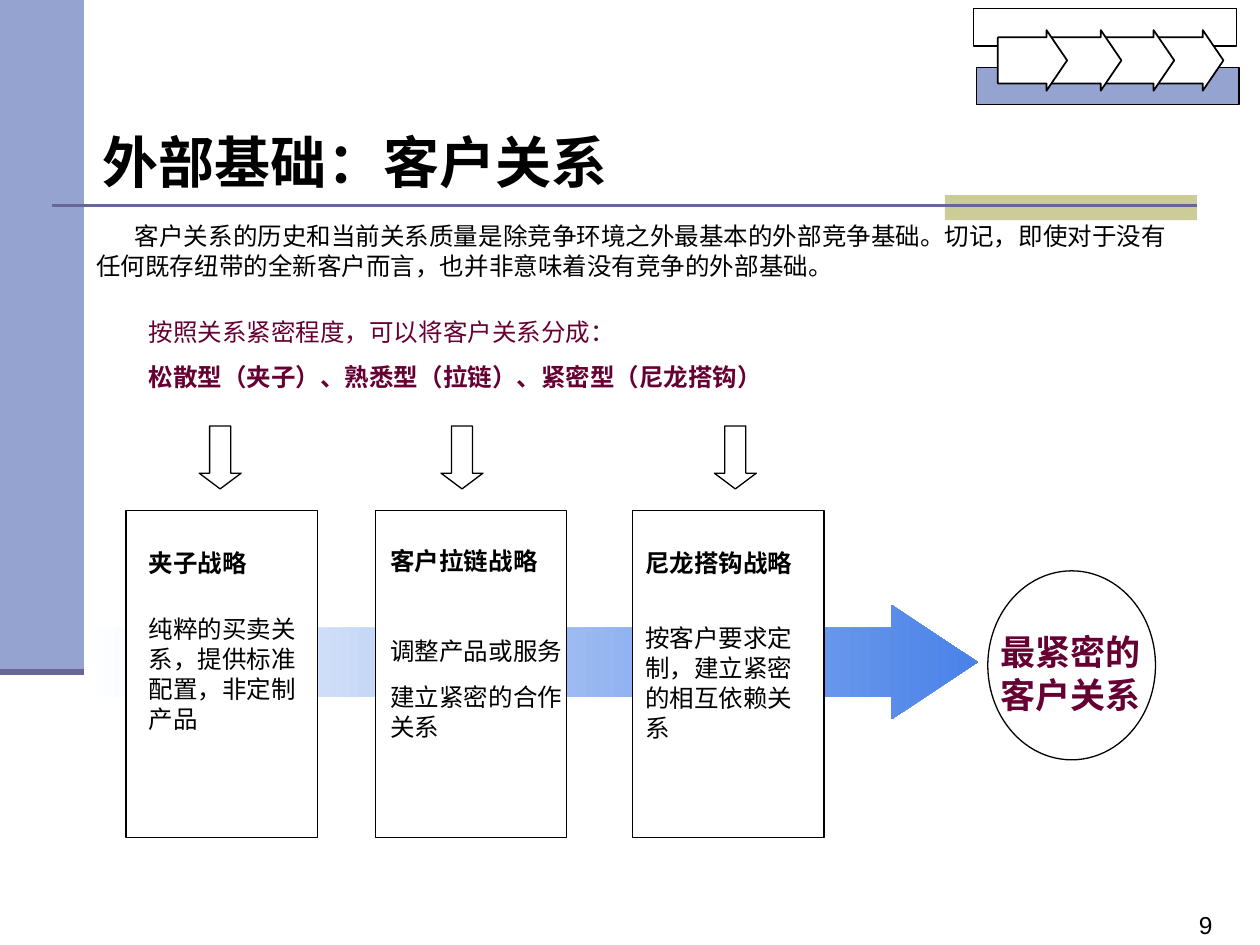
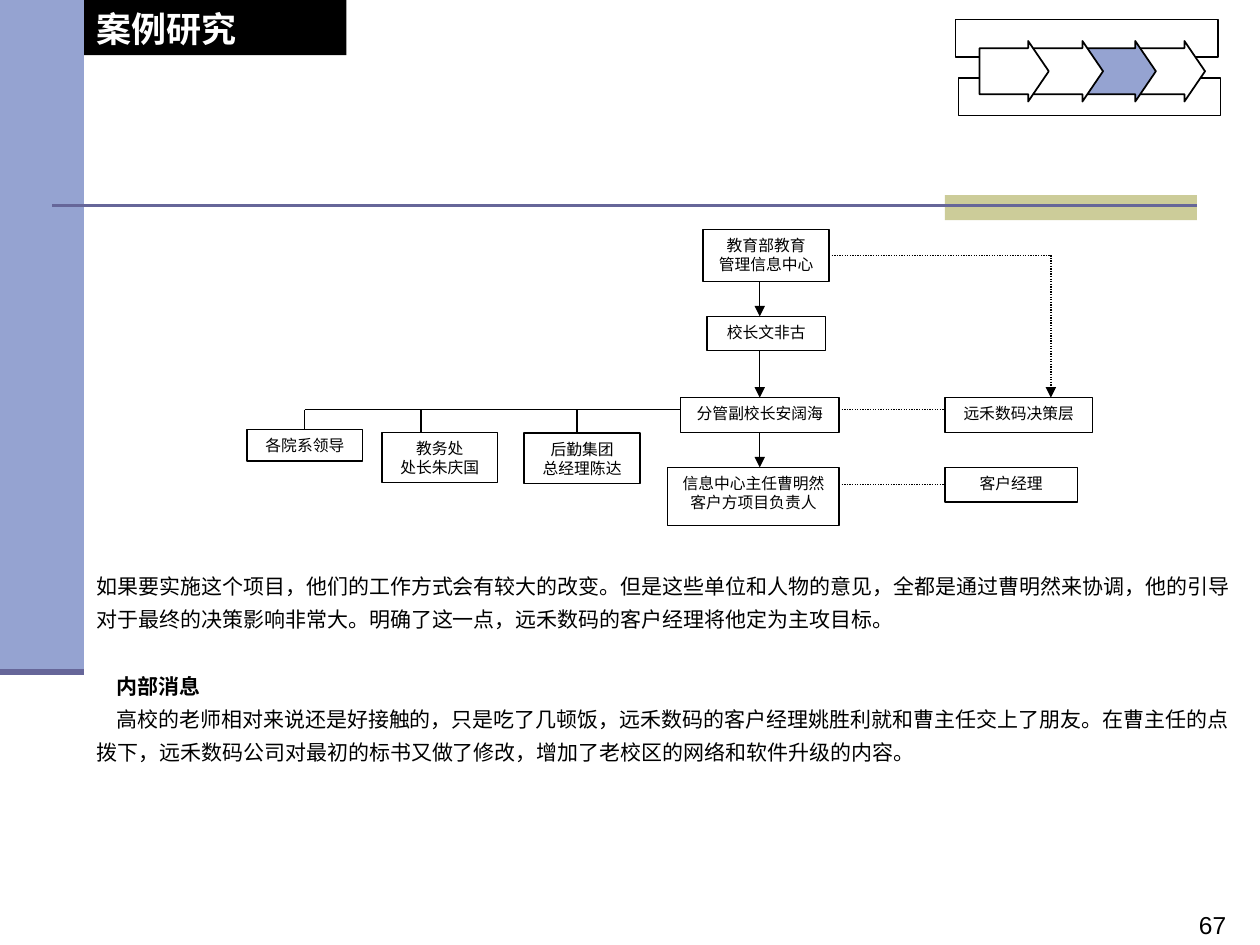
from lxml import etree
from pptx import Presentation
from pptx.dml.color import RGBColor
from pptx.enum.dml import MSO_LINE
from pptx.enum.shapes import MSO_CONNECTOR, MSO_SHAPE
from pptx.enum.text import MSO_ANCHOR, MSO_AUTO_SIZE, PP_ALIGN
from pptx.oxml.ns import qn
from pptx.util import Pt

RECT, OVAL = MSO_SHAPE.RECTANGLE, MSO_SHAPE.OVAL
RIGHT_ARROW, DOWN_ARROW = MSO_SHAPE.RIGHT_ARROW, MSO_SHAPE.DOWN_ARROW
STRAIGHT, DOTTED = MSO_CONNECTOR.STRAIGHT, MSO_LINE.ROUND_DOT
LEFT, CENTER = PP_ALIGN.LEFT, PP_ALIGN.CENTER
TOP, BOTTOM, RIGHT_SIDE, LEFT_SIDE = 0, 2, 3, 1

C = {"band": "95A3D1", "olive": "CCCC99", "rule": "666699", "wine": "660033",
     "black": "000000", "white": "FFFFFF", "pale": "FEFEFE", "blue": "4A82E8"}
CJK, LATIN, HEAD, SERIF = "Noto Sans CJK SC", "Arial", "Karla", "Times New Roman"
LINE_HEIGHT = 1.22  # line pitch per point of text size

# ---- Content: customer relations ----
RELATION_TITLE = "外部基础：客户关系"
INTRO = ("客户关系的历史和当前关系质量是除竞争环境之外最基本的外部竞争基础。"
         "切记，即使对于没有任何既存纽带的全新客户而言，也并非意味着没有竞争的外部基础。")
TYPES = [("按照关系紧密程度，可以将客户关系分成：", {}),
         ("松散型（夹子）、熟悉型（拉链）、紧密型（尼龙搭钩）", {"bold": True, "before": 8.8})]
GOAL = "最紧密的客户关系"
# box x, arrow x, text position and width, heading, gap below heading, body
STRATEGIES = [
    (72, 113.8, (77.8, 309.6, 104.5), "夹子战略", 20.5,
     ["纯粹的买卖关系，提供标准配置，非定制产品"]),
    (214.5, 252, (216, 308.2, 126), "客户拉链战略", 34.5,
     ["调整产品或服务", "建立紧密的合作关系"]),
    (361.5, 408.2, (361.5, 309.6, 104.5), "尼龙搭钩战略", 25.5,
     ["按客户要求定制，建立紧密的相互依赖关系"]),
]

# ---- Content: case study ----
CASE_TITLE = "案例研究"
CASE_TEXT = [
    ("如果要实施这个项目，他们的工作方式会有较大的改变。但是这些单位和人物的意见，"
     "全都是通过曹明然来协调，他的引导对于最终的决策影响非常大。明确了这一点，"
     "远禾数码的客户经理将他定为主攻目标。", {}),
    ("内部消息", {"bold": True, "indent": 11.4, "before": 19}),
    ("高校的老师相对来说还是好接触的，只是吃了几顿饭，远禾数码的客户经理姚胜利就和"
     "曹主任交上了朋友。在曹主任的点拨下，远禾数码公司对最初的标书又做了修改，"
     "增加了老校区的网络和软件升级的内容。", {"indent": 11.4}),
]
ORG_BOXES = {
    "ministry": ((401.8, 131, 72, 29.8), ["教育部教育", "管理信息中心"]),
    "principal": ((404, 180.8, 67.7, 19.6), ["校长文非古"]),
    "vice": ((388.8, 227.2, 90.7, 19.8), ["分管副校长安阔海"]),
    "info": ((381.6, 267.1, 97.9, 33.2), ["信息中心主任曹明然", "客户方项目负责人"]),
    "vendor": ((540, 227.2, 84.2, 19.8), ["远禾数码决策层"]),
    "manager": ((540, 267.1, 75.6, 19.8), ["客户经理"]),
    "faculty": ((141.1, 245.5, 66.2, 18), ["各院系领导"]),
    "affairs": ((218.2, 247, 66.2, 28.8), ["教务处", "处长朱庆国"]),
    "logistics": ((299.5, 247.5, 66.2, 29), ["后勤集团", "总经理陈达"]),
}
# an end is a point (x, y) or a joined side (box, site)
ORG_LINES = [
    ((434.15, 160.8), (434.15, 180.8), {"arrow": True}),
    ((434.15, 200.4), ("vice", TOP), {"arrow": True}),
    (("vice", BOTTOM), (434.15, 267.1), {"arrow": True}),
    (("ministry", RIGHT_SIDE), (600.5, 145.9), {"dash": DOTTED}),
    ((600.5, 145.9), (600.5, 227.2), {"dash": DOTTED, "arrow": True}),
    ((479.5, 234), (540, 234), {"dash": DOTTED}),
    ((479.5, 277), ("manager", LEFT_SIDE), {"dash": DOTTED}),
    ((174.2, 234), (388.8, 234), {}),
    ((174.2, 234), ("faculty", TOP), {}),
    ((240.5, 234), (240.5, 247), {}),
    ((329.8, 234), (329.8, 247.5), {}),
]


def rgb(name):
    return RGBColor.from_string(C[name])


def write(shape, paras, size, font=CJK, color="black", align=LEFT, pitch=1.0, **common):
    """Fill a shape with (text, format) paragraphs."""
    tf = shape.text_frame
    frame = {"word_wrap": True, "auto_size": MSO_AUTO_SIZE.NONE,
             "vertical_anchor": MSO_ANCHOR.TOP, "margin_left": Pt(7.2),
             "margin_right": Pt(7.2), "margin_top": Pt(3.6), "margin_bottom": Pt(3.6)}
    for key, value in frame.items():
        setattr(tf, key, value)
    for i, (text, own) in enumerate(paras):
        fmt = {**common, **own}
        p = tf.add_paragraph() if i else tf.paragraphs[0]
        for key, value in {"alignment": align, "space_before": Pt(fmt.get("before", 0)),
                           "space_after": Pt(0),
                           "line_spacing": Pt(round(size * LINE_HEIGHT * pitch, 1))}.items():
            setattr(p, key, value)
        if "indent" in fmt:
            p._p.get_or_add_pPr().set("indent", str(Pt(fmt["indent"])))
        r = p.add_run()
        r.text = text
        for key, value in {"name": font, "size": Pt(size),
                           "bold": fmt.get("bold", False)}.items():
            setattr(r.font, key, value)
        r.font.color.rgb = rgb(color)
        etree.SubElement(r._r.get_or_add_rPr(), qn("a:ea")).set("typeface", CJK)


def textbox(s, at, paras, size, **fmt):
    write(s.shapes.add_textbox(*map(Pt, at)), paras, size, **fmt)


def shape(s, kind, at, fill=None, line="black", width=0.75, adj=()):
    sp = s.shapes.add_shape(kind, *map(Pt, at))
    sp.shadow.inherit = False
    for i, value in enumerate(adj):
        sp.adjustments[i] = value
    if fill:
        sp.fill.solid()
        sp.fill.fore_color.rgb = rgb(fill)
    else:
        sp.fill.background()
    if line:
        sp.line.color.rgb = rgb(line)
        sp.line.width = Pt(width)
    else:
        sp.line.fill.background()
    return sp


def connector(s, begin, end, boxes=None, color="black", width=0.75, dash=None, arrow=False):
    points = [(0, 0) if isinstance(e[0], str) else e for e in (begin, end)]
    cx = s.shapes.add_connector(STRAIGHT, *(Pt(v) for pt in points for v in pt))
    for e, join in ((begin, cx.begin_connect), (end, cx.end_connect)):
        if isinstance(e[0], str):
            join(boxes[e[0]], e[1])
    cx.line.color.rgb = rgb(color)
    cx.line.width = Pt(width)
    if dash:
        cx.line.dash_style = dash
    if arrow:
        etree.SubElement(cx.line._get_or_add_ln(), qn("a:tailEnd")).set("type", "triangle")
    etree.SubElement(cx._element.spPr, qn("a:effectLst"))


def process_icon(s, x, y, marked):
    """Two bands behind four chained arrows; the marked part is coloured."""
    def fill(part):
        return "band" if part == marked else "white"
    shape(s, RECT, (x, y, 150, 21.4), fill("upper"))
    shape(s, RECT, (x + 1.6, y + 33.4, 150, 21.4), fill("lower"))
    for i, dx in reversed(list(enumerate((13.7, 44.7, 74.9, 103)))):
        shape(s, RIGHT_ARROW, (x + dx, y + 12.2, 39.6, 34.6), fill(i),
              width=1, adj=(0.76, 0.34))


def new_slide(prs, title, at, number, size, **fmt):
    """Title-only slide with side band, rules, title and page number."""
    s = prs.slides.add_slide(prs.slide_layouts[5])
    shape(s, RECT, (0, 0, 48, 384), "band", None)
    shape(s, RECT, (540, 111.5, 144, 14.4), "olive", None)
    connector(s, (30, 117.5), (684, 117.5), color="rule", width=1.5)
    connector(s, (0, 384), (48, 384), color="rule", width=3.5)
    textbox(s, (678, 516.2, 40, 23), [(number, {})], 14, font=LATIN)
    sp = s.shapes.title
    sp.left, sp.top, sp.width, sp.height = map(Pt, at)
    write(sp, [(title, {})], size, bold=True, **fmt)
    return s


def relation_slide(prs):
    s = new_slide(prs, RELATION_TITLE, (25, 72.8, 356, 42), "9", 32,
                  font=HEAD, align=CENTER, pitch=0.9)
    # Gradient arrow behind the strategies
    sp = shape(s, RIGHT_ARROW, (54, 345.6, 504.7, 65.5), line=None, adj=(0.596, 0.754))
    sp.fill.gradient()
    sp.fill.gradient_angle = 0
    for stop, color in zip(sp.fill.gradient_stops, ("pale", "blue")):
        stop.color.rgb = rgb(color)
    # Strategy columns
    for x, arrow_x, text_at, heading, gap, body in STRATEGIES:
        shape(s, DOWN_ARROW, (arrow_x, 243.4, 24, 36), adj=(0.5, 0.375))
        shape(s, RECT, (x, 291.6, 109.4, 187.2), "white")
        paras = [(heading, {"bold": True})]
        paras += [(t, {"before": 8.8 if i else gap}) for i, t in enumerate(body)]
        textbox(s, (*text_at, 130), paras, 14)
    # Goal
    shape(s, OVAL, (564.5, 326.2, 95.8, 108))
    textbox(s, (564.5, 356.4, 102.2, 55.4), [(GOAL, {})], 20,
            font=HEAD, color="wine", bold=True)
    # Introduction
    textbox(s, (77.8, 177.1, 426, 75.6), TYPES, 14, color="wine")
    textbox(s, (48, 122.4, 630, 41), [(INTRO, {"indent": 22})], 14, font=LATIN)
    process_icon(s, 556.5, 5, "lower")


def case_slide(prs):
    s = new_slide(prs, CASE_TITLE, (48, 0, 150, 31.5), "67", 20, color="white")
    s.shapes.title.fill.solid()
    s.shapes.title.fill.fore_color.rgb = rgb("black")
    textbox(s, (48, 319.7, 672, 119.5), CASE_TEXT, 12, pitch=1.3)
    # Organisation chart
    boxes = {}
    for name, (at, lines) in ORG_BOXES.items():
        boxes[name] = shape(s, RECT, at, "white")
        write(boxes[name], [(t, {}) for t in lines], 9, font=SERIF, align=CENTER)
    for begin, end, fmt in ORG_LINES:
        connector(s, begin, end, boxes, **fmt)
    process_icon(s, 546, 11.2, 2)


def main():
    prs = Presentation()
    prs.slide_width, prs.slide_height = Pt(720), Pt(540)
    relation_slide(prs)
    case_slide(prs)
    prs.save("out.pptx")


if __name__ == "__main__":
    main()
